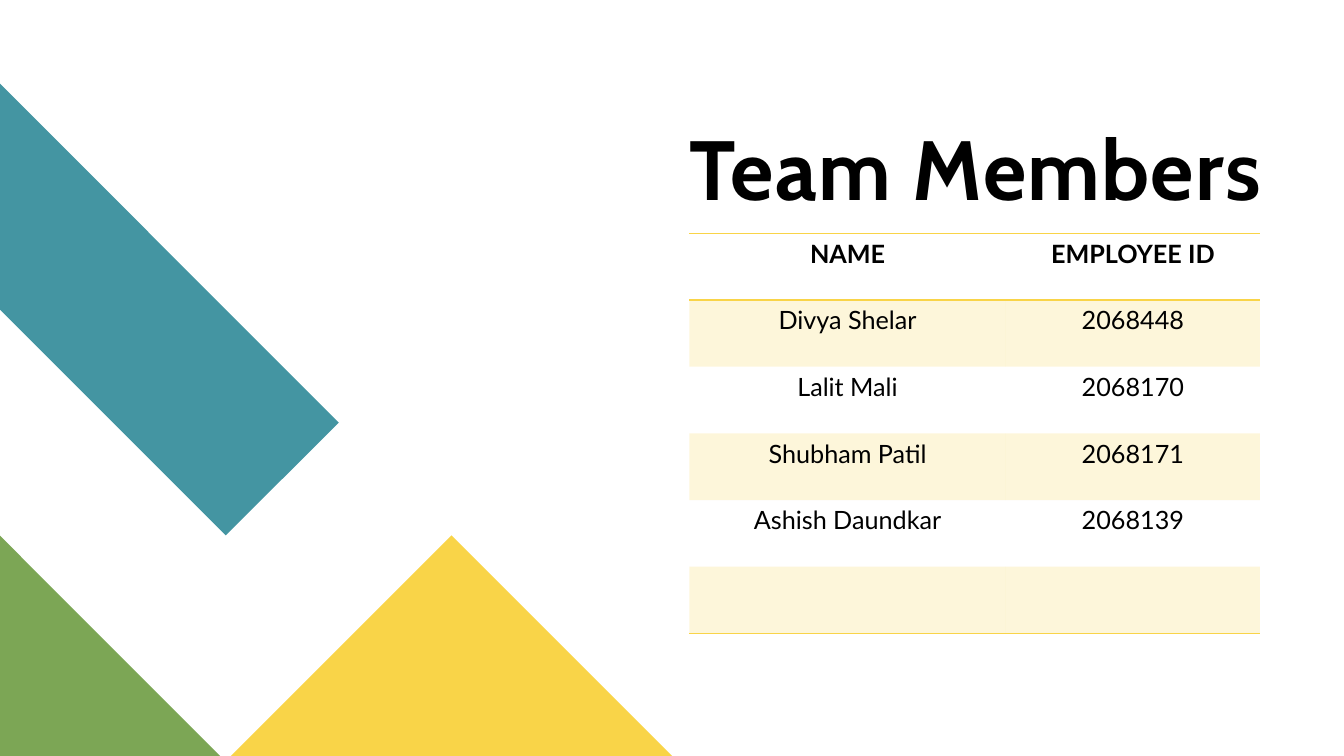
"""Build the Team Members slide with a table of names and employee IDs."""
import dataclasses

import lxml.etree
import pptx
import pptx.dml.color
import pptx.enum.text
import pptx.oxml
import pptx.oxml.ns
import pptx.util

Cm = pptx.util.Cm
Pt = pptx.util.Pt
RGB = pptx.dml.color.RGBColor.from_string
qn = pptx.oxml.ns.qn


@dataclasses.dataclass(frozen=True)
class Theme:
    teal: str = "4495A2"
    green: str = "7CA655"
    yellow: str = "F9D448"
    text: str = "000000"
    title_font: str = "Cabin"
    body_font: str = "Lato"
    title_size: int = 60
    body_size: int = 18


theme = Theme()


def add_run(p, text, font, size, bold):
    r = p.add_run()
    r.text = text
    r.font.name = font
    r.font.size = Pt(size)
    r.font.bold = bold
    r.font.color.rgb = RGB(theme.text)
    return r


def add_border(cell, side):
    ln = pptx.oxml.parse_xml(
        f'<a:{side} xmlns:a="http://schemas.openxmlformats.org/drawingml/2006/main" w="12700">'
        f'<a:solidFill><a:srgbClr val="{theme.yellow}"/></a:solidFill></a:{side}>'
    )
    cell._tc.get_or_add_tcPr().insert(0, ln)


prs = pptx.Presentation()
prs.slide_width = Cm(33.87)
prs.slide_height = Cm(19.05)
s = prs.slides.add_slide(prs.slide_layouts[6])

bands = [
    (theme.teal, [(0, 2.11), (0, 7.8), (5.69, 13.49), (8.54, 10.65)]),
    (theme.green, [(0, 13.5), (0, 19.05), (5.55, 19.05)]),
    (theme.yellow, [(16.94, 19.05), (11.38, 13.49), (5.82, 19.05)]),
]
for color, points in bands:
    (x, y), *rest = [(Cm(px), Cm(py)) for px, py in points]
    builder = s.shapes.build_freeform(x, y)
    builder.add_line_segments(rest, close=True)
    sp = builder.convert_to_shape()
    sp.shadow.inherit = False
    sp.fill.solid()
    sp.fill.fore_color.rgb = RGB(color)
    sp.line.fill.background()

sp = s.shapes.add_textbox(Cm(17.37), Cm(1.3), Cm(15.27), Cm(4.22))
tf = sp.text_frame
tf.word_wrap = True
tf.vertical_anchor = pptx.enum.text.MSO_ANCHOR.BOTTOM
tf.margin_left = tf.margin_right = tf.margin_top = tf.margin_bottom = 0
p = tf.paragraphs[0]
p.line_spacing = 0.9
r = add_run(p, "Team Members", theme.title_font, theme.title_size, True)
r.font._element.set("spc", "100")

members = [
    ("NAME", "EMPLOYEE ID"),
    ("Divya Shelar", "2068448"),
    ("Lalit Mali", "2068170"),
    ("Shubham Patil", "2068171"),
    ("Ashish Daundkar", "2068139"),
    ("", ""),
]
widths = (7.98, 6.4)
row_height = 1.68
table = s.shapes.add_table(
    len(members), len(widths),
    Cm(17.37), Cm(5.88), Cm(sum(widths)), Cm(row_height * len(members)),
).table
table._tbl.tblPr.find(qn("a:tableStyleId")).text = "{2D5ABB26-0587-4C30-8999-92F81FD0307C}"
for column, width in zip(table.columns, widths):
    column.width = Cm(width)

for i, member in enumerate(members):
    table.rows[i].height = Cm(row_height)
    for cell, text in zip(table.rows[i].cells, member):
        if i % 2:
            cell.fill.solid()
            cell.fill.fore_color.rgb = RGB(theme.yellow)
            tint = cell._tc.tcPr.find(".//" + qn("a:srgbClr"))
            lxml.etree.SubElement(tint, qn("a:alpha")).set("val", "20000")
        else:
            cell.fill.background()
        if i in (0, len(members) - 1):
            add_border(cell, "lnB")
        if i == 0:
            add_border(cell, "lnT")
        if text:
            p = cell.text_frame.paragraphs[0]
            p.alignment = pptx.enum.text.PP_ALIGN.CENTER
            add_run(p, text, theme.body_font, theme.body_size, i == 0)

prs.save("out.pptx")
